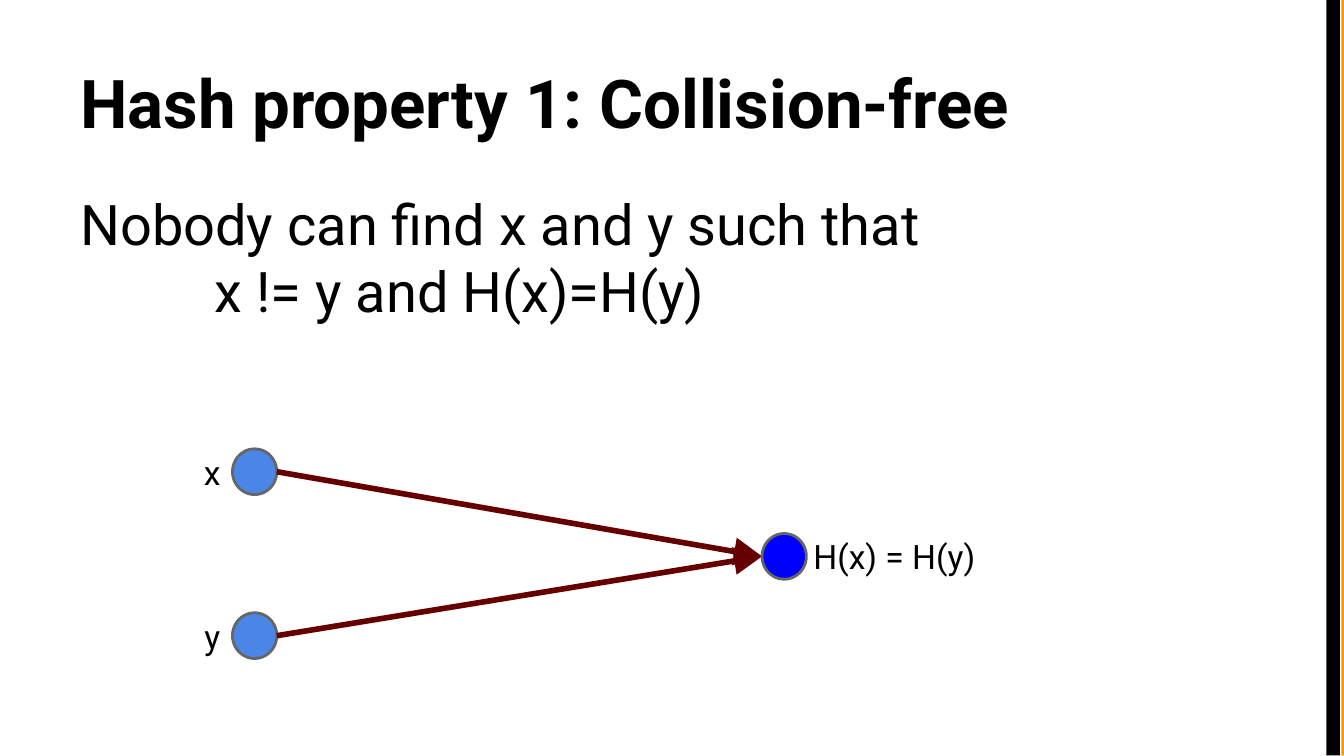
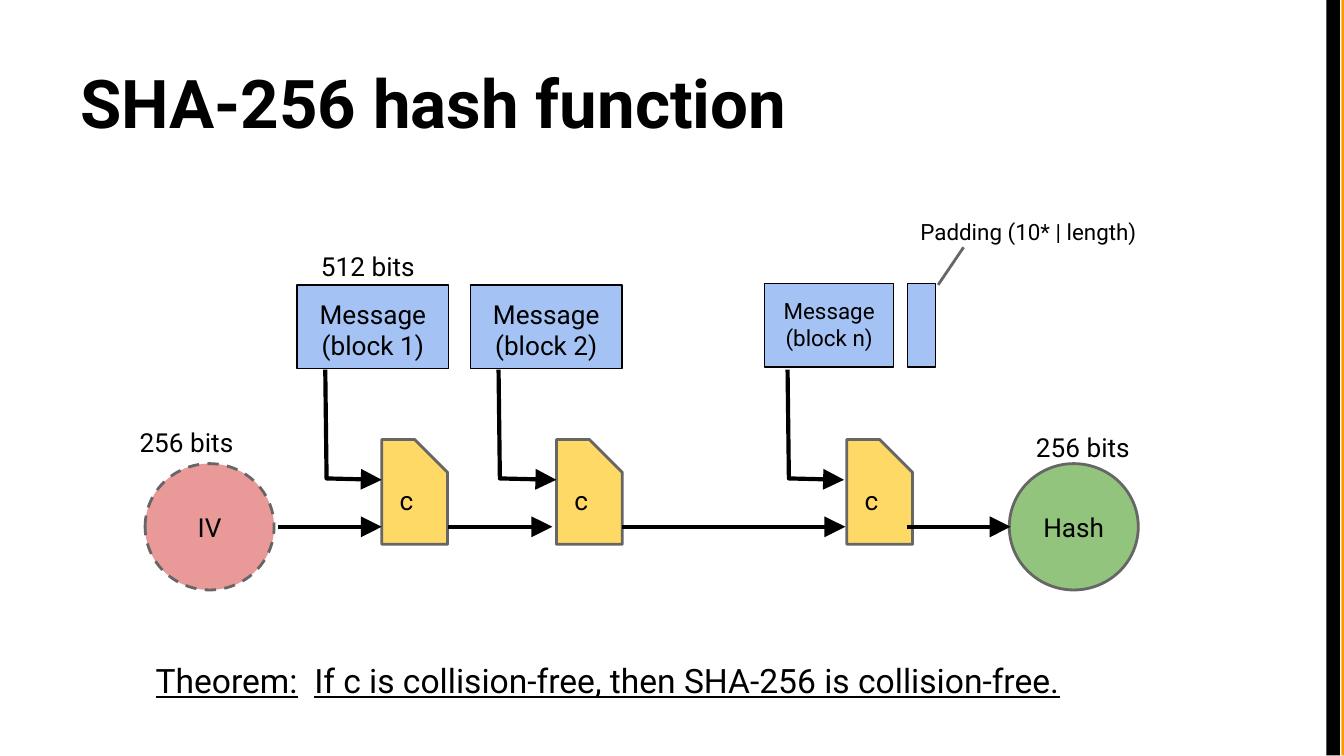
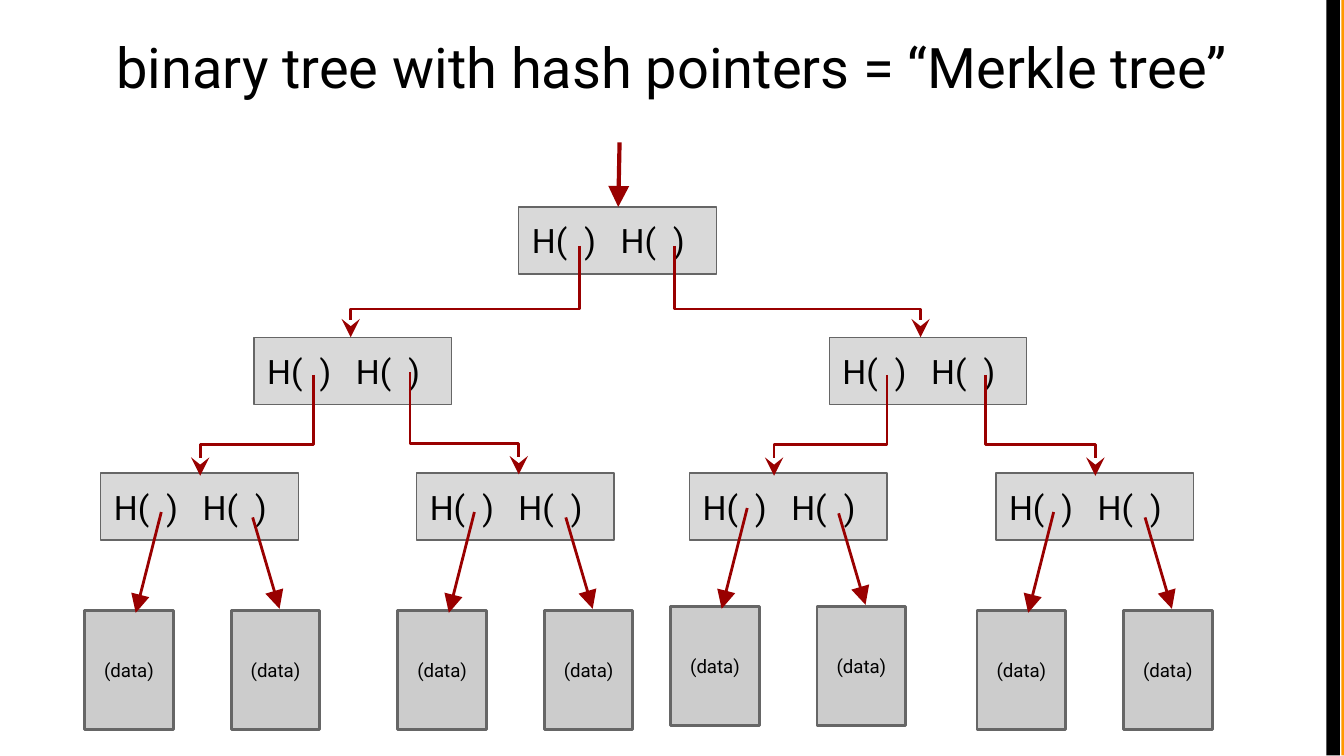
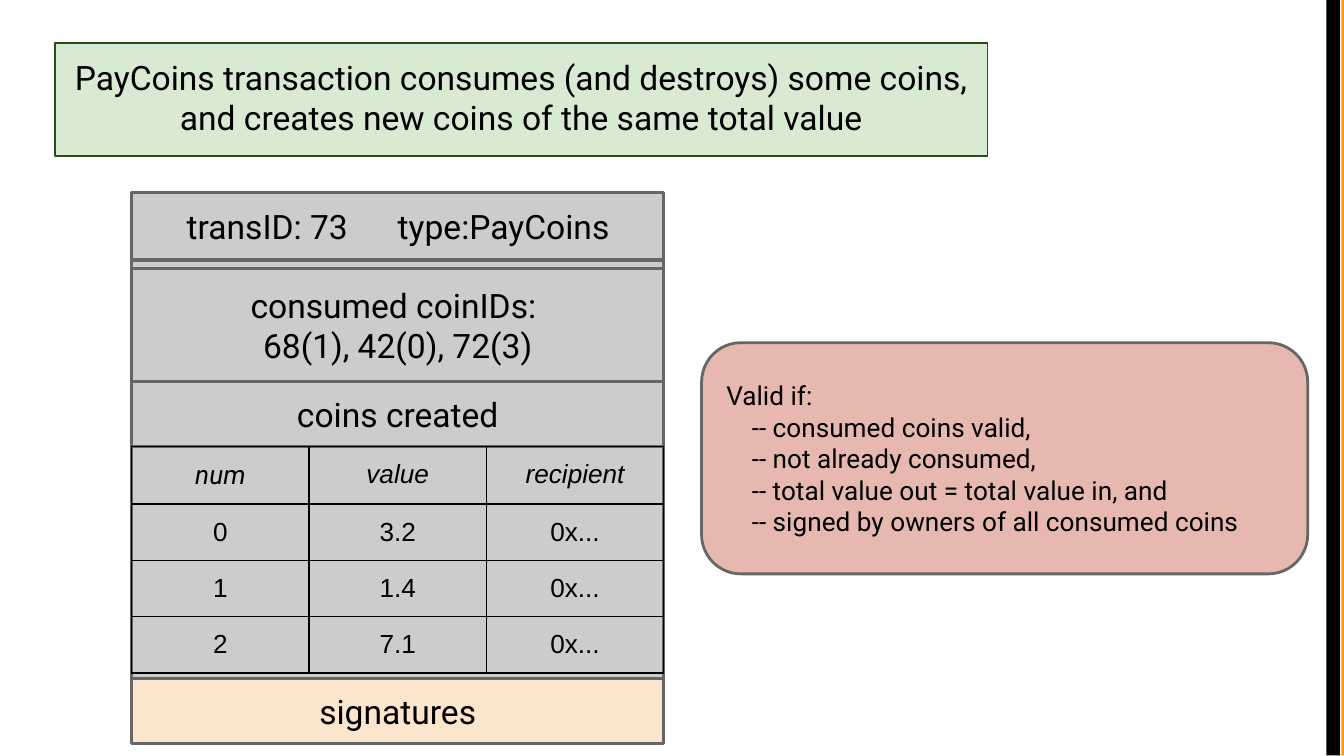
from dataclasses import dataclass
from typing import NamedTuple, Optional, Sequence

from lxml import etree
from pptx import Presentation
from pptx import util as u
from pptx.dml.color import RGBColor
from pptx.enum import dml, shapes, text
from pptx.oxml.ns import qn

PX = 9144  # 100 px to the inch
SLIDE_WIDTH = 1000
BAND_HEIGHT = 562
INSET = 10


@dataclass(frozen=True)
class Theme:
    font: str = "Roboto"
    table_font: str = "Arial"
    title: int = 36
    body: int = 30
    large: int = 18
    medium: int = 14
    small: int = 12
    tiny: int = 10
    ink: str = "000000"
    accent: str = "FF9900"
    outline: str = "666666"
    input_dot: str = "4A86E8"
    output_dot: str = "0000FF"
    collision: str = "660000"
    message: str = "A4C2F4"
    vector: str = "EA9999"
    compressor: str = "FFD966"
    digest: str = "93C47D"
    pointer: str = "990000"
    node: str = "D9D9D9"
    block: str = "CCCCCC"
    summary: str = "D9EAD3"
    summary_line: str = "274E13"
    signature: str = "FCE5CD"
    rule: str = "E6B8AF"


THEME = Theme()
LEFT, CENTER = text.PP_ALIGN.LEFT, text.PP_ALIGN.CENTER
TOP, MIDDLE, BOTTOM = (text.MSO_ANCHOR.TOP, text.MSO_ANCHOR.MIDDLE,
                       text.MSO_ANCHOR.BOTTOM)
KIND = shapes.MSO_SHAPE


class Box(NamedTuple):
    x: int
    y: int
    width: int
    height: int

    def emu(self) -> list[int]:
        return [value * PX for value in self]


class Point(NamedTuple):
    x: int
    y: int

    def shifted(self, dx: int, dy: int) -> "Point":
        return Point(self.x + dx, self.y + dy)


class Paragraph(NamedTuple):
    content: str
    margin: int = 0
    indent: int = 0


@dataclass(frozen=True)
class Style:
    size: int
    align: text.PP_ALIGN = LEFT
    anchor: text.MSO_ANCHOR = TOP
    bold: bool = False
    italic: bool = False
    underline: bool = False
    font: str = THEME.font
    tabs: tuple[int, ...] = ()
    left_inset: int = INSET


@dataclass(frozen=True)
class Look:
    fill: str
    line: Optional[str] = THEME.outline
    width: float = 1.5
    dashed: bool = False


@dataclass(frozen=True)
class Stroke:
    color: str
    width: float
    head: Optional[str] = "triangle"


LABEL = Style(THEME.medium)
CENTERED = Style(THEME.medium, CENTER, MIDDLE)
LARGE_CENTERED = Style(THEME.large, CENTER, MIDDLE)


def rgb(color: str) -> RGBColor:
    return RGBColor.from_string(color)


def style_paragraph(paragraph, style: Style) -> None:
    paragraph.alignment = style.align
    if style.tabs:
        properties = paragraph._p.get_or_add_pPr()
        tab_list = etree.SubElement(properties, qn("a:tabLst"))
        for position in style.tabs:
            etree.SubElement(tab_list, qn("a:tab"), pos=str(position * PX), algn="l")
    font = paragraph.font
    font.name, font.size = style.font, u.Pt(style.size)
    font.bold, font.italic, font.underline = style.bold, style.italic, style.underline
    font.color.rgb = rgb(THEME.ink)


def write(shape, lines: Sequence[str | Paragraph], style: Style) -> None:
    frame = shape.text_frame
    frame.word_wrap = True
    frame.vertical_anchor = style.anchor
    frame.margin_left = style.left_inset * PX
    frame.margin_top = frame.margin_right = frame.margin_bottom = INSET * PX
    for index, line in enumerate(lines):
        line = Paragraph(line) if isinstance(line, str) else line
        paragraph = frame.add_paragraph() if index else frame.paragraphs[0]
        paragraph.text = line.content
        if line.margin:
            properties = paragraph._p.get_or_add_pPr()
            properties.set("marL", str(line.margin * PX))
            properties.set("indent", str(line.indent * PX))
        style_paragraph(paragraph, style)


def add_text(slide, box: Box, style: Style, *lines: str | Paragraph) -> None:
    write(slide.shapes.add_textbox(*box.emu()), lines, style)


def add_shape(slide, kind: KIND, box: Box, look: Look,
              lines: Sequence[str | Paragraph] = (), style: Style = CENTERED,
              corner: Optional[float] = None) -> None:
    shape = slide.shapes.add_shape(kind, *box.emu())
    shape.shadow.inherit = False
    if corner is not None:
        shape.adjustments[0] = corner
    shape.fill.solid()
    shape.fill.fore_color.rgb = rgb(look.fill)
    if look.line:
        shape.line.color.rgb = rgb(look.line)
        shape.line.width = u.Pt(look.width)
        if look.dashed:
            shape.line.dash_style = dml.MSO_LINE.DASH
    else:
        shape.line.fill.background()
    if lines:
        write(shape, lines, style)


def apply_stroke(shape, stroke: Stroke) -> None:
    shape.line.color.rgb = rgb(stroke.color)
    shape.line.width = u.Pt(stroke.width)
    if stroke.head:
        line = shape._element.spPr.find(qn("a:ln"))
        etree.SubElement(line, qn("a:tailEnd"), type=stroke.head, w="lg", len="lg")


def add_line(slide, start: Point, end: Point, stroke: Stroke) -> None:
    connector = slide.shapes.add_connector(
        shapes.MSO_CONNECTOR.STRAIGHT, *(value * PX for value in (*start, *end)))
    apply_stroke(connector, stroke)
    etree.SubElement(connector._element.spPr, qn("a:effectLst"))


def add_polyline(slide, points: Sequence[Point], stroke: Stroke) -> None:
    builder = slide.shapes.build_freeform(*points[0], scale=PX)
    builder.add_line_segments(points[1:], close=False)
    shape = builder.convert_to_shape()
    shape.shadow.inherit = False
    shape.fill.background()
    apply_stroke(shape, stroke)


def new_slide(presentation, title: Optional[str] = None):
    """Add a blank slide with the edge bands and, if given, a title."""
    slide = presentation.slides.add_slide(presentation.slide_layouts[6])
    for box, color in ((Box(998, 0, 2, BAND_HEIGHT), THEME.accent),
                       (Box(987, 0, 10, BAND_HEIGHT), THEME.ink)):
        add_shape(slide, KIND.RECTANGLE, box, Look(color, None))
    if title:
        add_text(slide, Box(50, 23, 900, 93),
                 Style(THEME.title, anchor=BOTTOM, bold=True), title)
    return slide


def build_collision_slide(presentation) -> None:
    slide = new_slide(presentation, "Hash property 1: Collision-free")
    add_text(slide, Box(50, 131, 900, 407), Style(THEME.body),
             "Nobody can find x and y such that",
             Paragraph("x != y and H(x)=H(y)", 50, 50))
    label = Style(THEME.large, CENTER)
    output = Point(567, 414)
    arrow = Stroke(THEME.collision, 3)
    for name, top in (("x", 334), ("y", 456)):
        add_shape(slide, KIND.OVAL, Box(173, top, 33, 34), Look(THEME.input_dot))
        add_text(slide, Box(136, top - 8, 44, 50), label, name)
        add_line(slide, Point(206, top + 17), output, arrow)
    add_shape(slide, KIND.OVAL, Box(567, 397, 33, 34), Look(THEME.output_dot))
    add_text(slide, Box(589, 389, 153, 50), label, "H(x) = H(y)")


class Stage(NamedTuple):
    name: str
    message: Box
    text_size: int
    feed_x: int
    compressor_x: int
    feed_end: int


STAGES = (
    Stage("(block 1)", Box(221, 212, 113, 62), THEME.medium, 242, 284, 284),
    Stage("(block 2)", Box(350, 212, 113, 62), THEME.medium, 371, 414, 414),
    Stage("(block n)", Box(569, 211, 96, 62), THEME.small, 586, 630, 628),
)


def build_sha_slide(presentation) -> None:
    slide = new_slide(presentation, "SHA-256 hash function")
    for label, x, y in (("256 bits", 94, 307), ("256 bits", 761, 311),
                        ("512 bits", 229, 176)):
        add_text(slide, Box(x, y, 96, 50), LABEL, label)
    add_text(slide, Box(106, 481, 725, 50),
             Style(THEME.large, underline=True, tabs=(118,)),
             "Theorem:\tIf c is collision-free, then SHA-256 is collision-free.")
    add_text(slide, Box(675, 152, 196, 40), Style(THEME.small), "Padding (10* | length)")

    message_look = Look(THEME.message, THEME.ink, 0.75)
    add_shape(slide, KIND.RECTANGLE, Box(675, 211, 21, 62), message_look)
    add_line(slide, Point(717, 184), Point(698, 212), Stroke(THEME.outline, 1.5, None))
    add_shape(slide, KIND.OVAL, Box(108, 345, 96, 94),
              Look(THEME.vector, dashed=True), ["IV"])
    add_shape(slide, KIND.OVAL, Box(751, 345, 96, 94), Look(THEME.digest), ["Hash"])

    flow = Stroke(THEME.ink, 2.25)
    for stage in STAGES:
        add_shape(slide, KIND.RECTANGLE, stage.message, message_look,
                  ["Message", stage.name], Style(stage.text_size, CENTER))
        add_shape(slide, KIND.SNIP_1_RECTANGLE, Box(stage.compressor_x, 327, 49, 78),
                  Look(THEME.compressor), ["c"], corner=0.5)
        add_polyline(slide, (Point(stage.feed_x, 275), Point(stage.feed_x + 1, 356),
                             Point(stage.feed_end, 357)), flow)
    for start, end in ((207, 284), (333, 411), (463, 629), (675, 752)):
        add_line(slide, Point(start, 392), Point(end, 392), flow)


class Elbow(NamedTuple):
    start: Point
    bend_y: int
    end: Point


TREE_NODES = (
    Point(386, 154),
    Point(189, 251), Point(617, 251),
    Point(75, 352), Point(310, 352), Point(513, 352), Point(741, 352),
)
TREE_ELBOWS = (
    Elbow(Point(431, 183), 230, Point(261, 251)),
    Elbow(Point(502, 183), 230, Point(685, 251)),
    Elbow(Point(233, 279), 331, Point(149, 354)),
    Elbow(Point(305, 277), 330, Point(386, 353)),
    Elbow(Point(660, 279), 331, Point(576, 354)),
    Elbow(Point(733, 279), 331, Point(815, 354)),
)
DATA_PAIRS = (Point(63, 454), Point(296, 454), Point(499, 451), Point(727, 454))


def add_data_pair(slide, origin: Point) -> None:
    """Draw two data blocks and the pointers that come down to them."""
    arrow = Stroke(THEME.pointer, 1.5)
    for offset, start, end in ((0, (57, -73), (38, 2)), (109, (125, -69), (145, -1))):
        add_shape(slide, KIND.RECTANGLE, Box(origin.x + offset, origin.y, 66, 89),
                  Look(THEME.block), ["(data)"], Style(THEME.tiny, CENTER, MIDDLE))
        add_line(slide, origin.shifted(*start), origin.shifted(*end), arrow)


def build_merkle_slide(presentation) -> None:
    slide = new_slide(presentation)
    add_text(slide, Box(50, 14, 900, 75), Style(THEME.body, CENTER),
             "binary tree with hash pointers = “Merkle tree”")
    for node in TREE_NODES:
        add_shape(slide, KIND.RECTANGLE, Box(*node, 147, 50),
                  Look(THEME.node, width=0.75), ["H(\t)\tH(\t)"],
                  Style(THEME.large, tabs=(39, 66, 105)))
    for start, bend_y, end in TREE_ELBOWS:
        add_polyline(slide, (start, Point(start.x, bend_y), Point(end.x, bend_y), end),
                     Stroke(THEME.pointer, 1.5, "stealth"))
    for origin in DATA_PAIRS:
        add_data_pair(slide, origin)
    add_line(slide, Point(461, 106), Point(460, 154), Stroke(THEME.pointer, 2.25))


COINS = (
    ("num", "value", "recipient"),
    ("0", "3.2", "0x..."),
    ("1", "1.4", "0x..."),
    ("2", "7.1", "0x..."),
)


def add_cell_borders(cell) -> None:
    properties = cell._tc.get_or_add_tcPr()
    for index, side in enumerate(("lnL", "lnR", "lnT", "lnB")):
        line = etree.Element(qn(f"a:{side}"), w=str(u.Pt(0.75)))
        fill = etree.SubElement(line, qn("a:solidFill"))
        etree.SubElement(fill, qn("a:srgbClr"), val=THEME.ink)
        properties.insert(index, line)


def add_coin_table(slide) -> None:
    column_width, row_height = 132, 39
    box = Box(98, 332, column_width * len(COINS[0]), row_height * len(COINS))
    table = slide.shapes.add_table(len(COINS), len(COINS[0]), *box.emu()).table
    table.first_row = table.horz_banding = False
    for row, values in enumerate(COINS):
        for column, value in enumerate(values):
            cell = table.cell(row, column)
            cell.fill.background()
            add_cell_borders(cell)
            cell.margin_left = cell.margin_right = INSET * PX
            cell.margin_top = cell.margin_bottom = INSET * PX
            paragraph = cell.text_frame.paragraphs[0]
            paragraph.text = value
            font = THEME.font if value == "num" else THEME.table_font
            style_paragraph(paragraph, Style(THEME.medium, CENTER,
                                             italic=row == 0, font=font))


def build_transaction_slide(presentation) -> None:
    slide = new_slide(presentation)

    def add_section(y: int, height: int, lines: Sequence[str] = (),
                    fill: str = THEME.block, style: Style = LARGE_CENTERED) -> None:
        add_shape(slide, KIND.RECTANGLE, Box(98, y, 396, height), Look(fill), lines, style)

    add_section(194, 311)
    add_section(143, 50, ["transID: 73\ttype:PayCoins"],
                style=Style(THEME.large, anchor=MIDDLE, tabs=(157,), left_inset=41))
    add_shape(slide, KIND.RECTANGLE, Box(41, 32, 694, 84),
              Look(THEME.summary, THEME.summary_line, 0.75),
              ["PayCoins transaction consumes (and destroys) some coins,",
               "and creates new coins of the same total value"],
              Style(THEME.large, CENTER))
    add_section(284, 48, ["coins created"])
    add_coin_table(slide)
    add_section(200, 84, ["consumed coinIDs: ", "68(1), 42(0), 72(3)"])
    add_section(505, 48, ["signatures"], THEME.signature)

    conditions = ("consumed coins valid,", "not already consumed,",
                  "total value out = total value in, and",
                  "signed by owners of all consumed coins")
    add_shape(slide, KIND.ROUNDED_RECTANGLE, Box(522, 255, 451, 172), Look(THEME.rule),
              ["Valid if:", *(Paragraph(f"-- {condition}", 19) for condition in conditions)],
              Style(THEME.medium, anchor=MIDDLE), corner=0.17)


def main() -> None:
    presentation = Presentation()
    presentation.slide_width = SLIDE_WIDTH * PX
    presentation.slide_height = presentation.slide_width * 9 // 16
    build_collision_slide(presentation)
    build_sha_slide(presentation)
    build_merkle_slide(presentation)
    build_transaction_slide(presentation)
    presentation.save("out.pptx")


if __name__ == "__main__":
    main()
